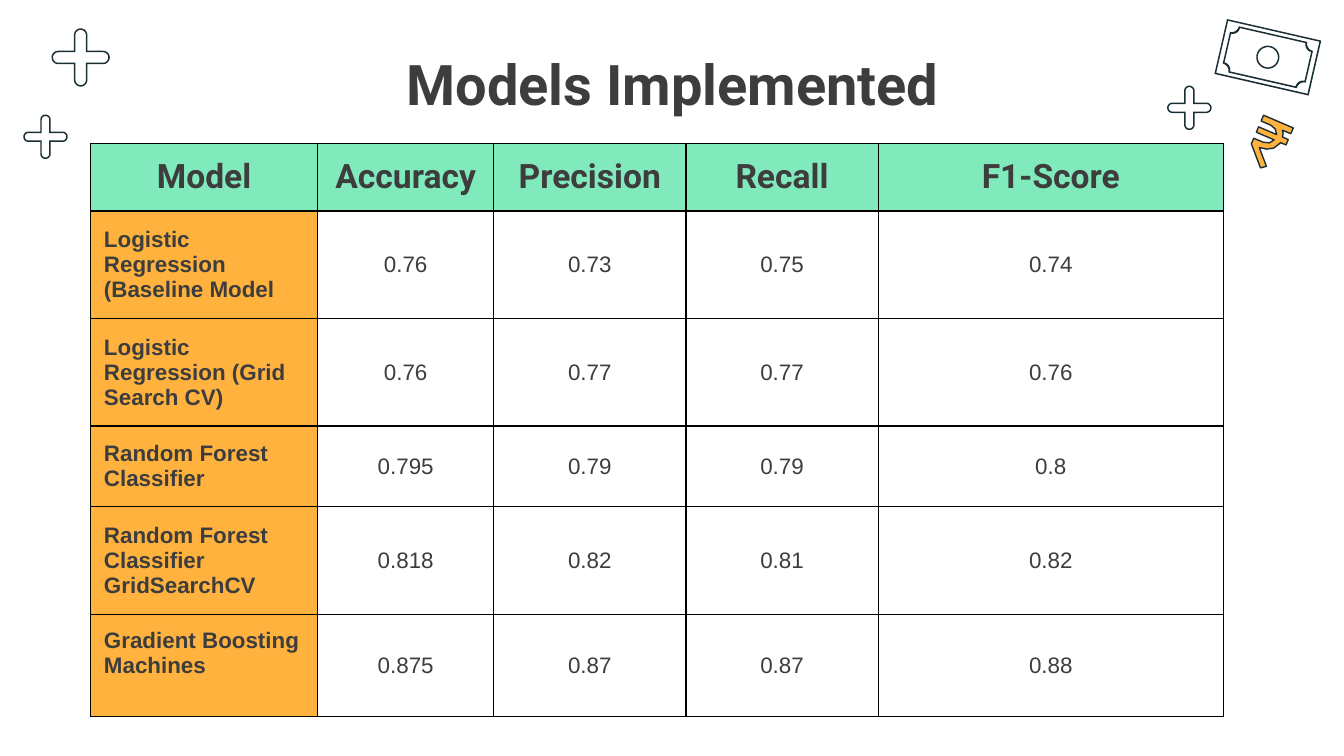
from dataclasses import dataclass
from math import cos, radians, sin

from lxml.etree import SubElement
from pptx import Presentation
from pptx.dml.color import RGBColor
from pptx.enum.text import MSO_ANCHOR, PP_ALIGN
from pptx.oxml.ns import qn
from pptx.util import Pt

Point = tuple[float, float]
Contour = list[Point]

INK, GRAY, MINT, AMBER, WHITE, BLACK = "1A2E35", "3D3D3D", "81EABC", "FFB23E", "FFFFFF", "000000"
INSET = 7.2
STROKE = 0.8


@dataclass(frozen=True)
class Plus:
    x: float
    y: float
    size: float
    arm: float


@dataclass(frozen=True)
class ModelScore:
    model: str
    scores: tuple[str, ...]
    height: float
    anchor: MSO_ANCHOR = MSO_ANCHOR.MIDDLE


PLUSES = [Plus(43.2, 30.8, 31.2, 7.2), Plus(24.4, 73.3, 23.8, 5.6)]
FRONT_PLUS = Plus(637.2, 57.8, 23.8, 5.6)

HEADINGS = ["Model", "Accuracy", "Precision", "Recall", "F1-Score"]
COLUMN_WIDTHS = [121.7, 94.3, 103, 103, 185]
HEADER_HEIGHT = 35.4
MODELS = [
    ModelScore("Logistic Regression (Baseline Model", ("0.76", "0.73", "0.75", "0.74"), 54.7),
    ModelScore("Logistic Regression (Grid Search CV)", ("0.76", "0.77", "0.77", "0.76"), 54.7),
    ModelScore("Random Forest Classifier", ("0.795", "0.79", "0.79", "0.8"), 41.2),
    ModelScore("Random Forest Classifier GridSearchCV", ("0.818", "0.82", "0.81", "0.82"), 54.7),
    ModelScore("Gradient Boosting Machines", ("0.875", "0.87", "0.87", "0.88"), 54.7, MSO_ANCHOR.TOP),
]

RUPEE = [
    (0, 0), (0, 3.4), (5.8, 3.4), (8.8, 4.4), (10.5, 6.8), (0, 6.8), (0, 9.9),
    (10.4, 9.9), (8.7, 12.4), (5.6, 13.4), (0, 13.4), (0, 16.7), (9.6, 26.6),
    (12.2, 24.6), (4.7, 16.8), (8.6, 16.1), (12, 14), (14.2, 9.9), (17.3, 9.9),
    (17.3, 6.8), (13.9, 6.8), (13.5, 5), (12.5, 3.4), (17.3, 3.4), (17.3, 0),
]


def color(hex_code: str) -> RGBColor:
    return RGBColor.from_string(hex_code)


def arc(x: float, y: float, radius: float, start: int, end: int) -> Contour:
    step = 10 if end > start else -10
    return [(x + radius * cos(radians(a)), y + radius * sin(radians(a)))
            for a in range(start, end + step, step)]


def rectangle(half_width: float, half_height: float) -> Contour:
    return [(-half_width, -half_height), (half_width, -half_height),
            (half_width, half_height), (-half_width, half_height)]


def notched(half_width: float, half_height: float, notch: float) -> Contour:
    """Rectangle whose corners are scooped out."""
    starts = [(-1, -1, 90), (1, -1, 180), (1, 1, 270), (-1, 1, 360)]
    return [point for sx, sy, start in starts
            for point in arc(sx * half_width, sy * half_height, notch, start, start - 90)]


def rounded_cross(size: float, arm: float) -> Contour:
    """Plus sign with round arm ends."""
    radius = arm / 2
    reach = size / 2 - radius
    outline = []
    for turn in (0, 90, 180, 270):
        outline += arc(reach * cos(radians(turn)), reach * sin(radians(turn)),
                       radius, turn - 90, turn + 90)
        corner = radians(turn + 45)
        outline.append((radius * 2 ** 0.5 * cos(corner), radius * 2 ** 0.5 * sin(corner)))
    return outline


def draw_outline(slide, x: float, y: float, contours: list[Contour], fill: str, rotation: float = 0):
    """Draw closed contours, given around the point x, y, as one shape."""
    placed = [[(Pt(x + px), Pt(y + py)) for px, py in contour] for contour in contours]
    builder = slide.shapes.build_freeform(*placed[0][0])
    for index, contour in enumerate(placed):
        if index:
            builder.move_to(*contour[0])
        builder.add_line_segments(contour[1:], close=True)
    shape = builder.convert_to_shape()
    shape.shadow.inherit = False
    shape.fill.solid()
    shape.fill.fore_color.rgb = color(fill)
    shape.line.fill.background()
    shape.rotation = rotation
    return shape


def draw_plus(slide, plus: Plus) -> None:
    inner = rounded_cross(plus.size - 2 * STROKE, plus.arm - 2 * STROKE)
    draw_outline(slide, plus.x, plus.y, [rounded_cross(plus.size, plus.arm), inner[::-1]], INK)


def draw_banknote(slide, x: float, y: float, tilt: float) -> None:
    edge = [rectangle(25.9, 15.1), rectangle(25.9 - STROKE, 15.1 - STROKE)[::-1]]
    frame = [notched(22.8, 12.7, 4), notched(22.8 - STROKE, 12.7 - STROKE, 4)[::-1]]
    seal = [arc(0, 0, 6.2, 0, 350), arc(0, 0, 6.2 - STROKE, 0, 350)[::-1]]
    draw_outline(slide, x, y, edge, INK, tilt)
    draw_outline(slide, x, y, frame + seal, INK, tilt)


def write(paragraph, text: str, font: str, size: float, bold: bool, align: PP_ALIGN) -> None:
    paragraph.text = text
    paragraph.alignment = align
    paragraph.font.name = font
    paragraph.font.size = Pt(size)
    paragraph.font.bold = bold
    paragraph.font.color.rgb = color(GRAY)


def fill_cell(cell, text: str, fill: str, font: str, size: float, bold: bool,
              align: PP_ALIGN = PP_ALIGN.CENTER, anchor: MSO_ANCHOR = MSO_ANCHOR.MIDDLE) -> None:
    write(cell.text_frame.paragraphs[0], text, font, size, bold, align)
    cell.vertical_anchor = anchor
    cell.margin_left = cell.margin_right = cell.margin_top = cell.margin_bottom = Pt(INSET)
    properties = cell._tc.get_or_add_tcPr()
    for side in ("a:lnL", "a:lnR", "a:lnT", "a:lnB"):
        border = SubElement(properties, qn(side), w=str(Pt(0.75)))
        SubElement(SubElement(border, qn("a:solidFill")), qn("a:srgbClr"), val=BLACK)
    cell.fill.solid()
    cell.fill.fore_color.rgb = color(fill)


def draw_scores(slide, x: float, y: float) -> None:
    heights = [HEADER_HEIGHT] + [row.height for row in MODELS]
    table = slide.shapes.add_table(len(heights), len(HEADINGS), Pt(x), Pt(y),
                                   Pt(sum(COLUMN_WIDTHS)), Pt(sum(heights))).table
    for column, width in zip(table.columns, COLUMN_WIDTHS):
        column.width = Pt(width)
    for row, height in zip(table.rows, heights):
        row.height = Pt(height)
    for column, heading in enumerate(HEADINGS):
        fill_cell(table.cell(0, column), heading, MINT, "Roboto", 18, True)
    for row, entry in enumerate(MODELS, 1):
        fill_cell(table.cell(row, 0), entry.model, AMBER, "Arial", 12, True,
                  PP_ALIGN.LEFT, entry.anchor)
        for column, score in enumerate(entry.scores, 1):
            fill_cell(table.cell(row, column), score, WHITE, "Arial", 12, False)


def main() -> None:
    presentation = Presentation()
    presentation.slide_width, presentation.slide_height = Pt(720), Pt(405)
    slide = presentation.slides.add_slide(presentation.slide_layouts[6])

    # Corner decorations
    for plus in PLUSES:
        draw_plus(slide, plus)
    rupee = draw_outline(slide, 671, 64.1, [RUPEE], AMBER, 23.2)
    rupee.line.color.rgb = color(INK)
    rupee.line.width = Pt(0.75)
    draw_banknote(slide, 679.2, 30.7, 12.9)

    # Title
    title = slide.shapes.add_textbox(Pt(56.9), Pt(17.3), Pt(607), Pt(45.4)).text_frame
    title.word_wrap = True
    title.margin_left = title.margin_right = title.margin_bottom = Pt(INSET)
    title.margin_top = Pt(9.2)
    write(title.paragraphs[0], "Models Implemented", "Roboto", 30, True, PP_ALIGN.CENTER)

    # Score table
    draw_scores(slide, 48.5, 77)
    draw_plus(slide, FRONT_PLUS)

    presentation.save("out.pptx")


if __name__ == "__main__":
    main()
